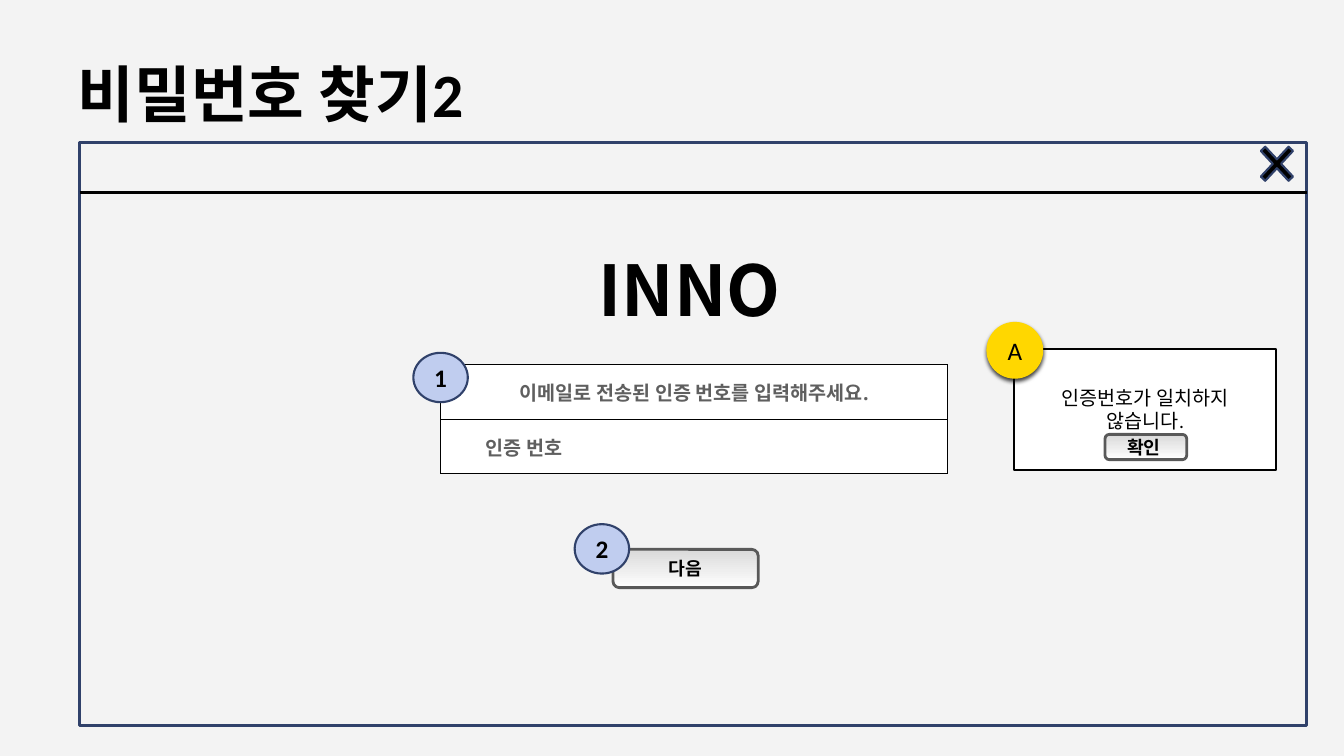
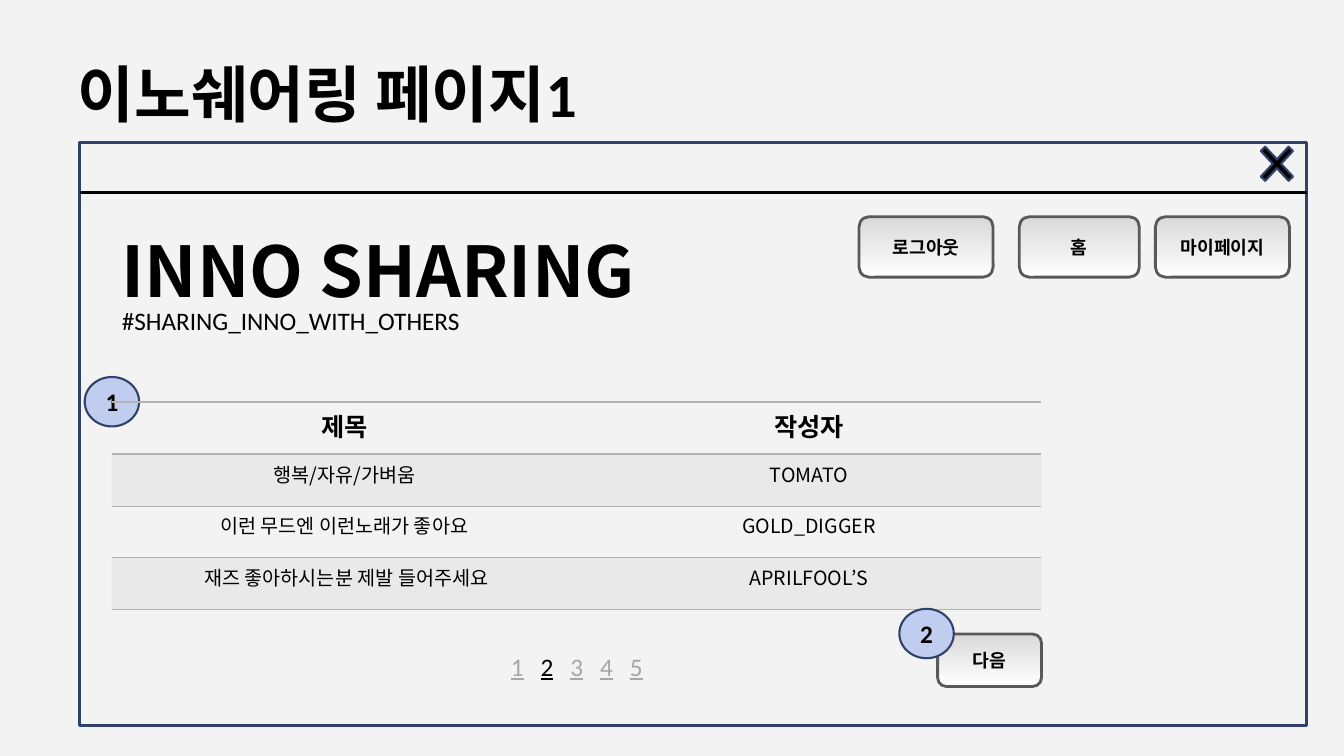
from dataclasses import dataclass

from lxml import etree
from pptx import Presentation
from pptx import util as u
from pptx.dml.color import RGBColor
from pptx.enum import shapes, text
from pptx.oxml import ns


@dataclass(frozen=True)
class Theme:
    background: str = "F3F3F3"
    ink: str = "000000"
    white: str = "FFFFFF"
    navy: str = "30416A"
    badge: str = "C0CDEF"
    alert: str = "FFD700"
    button_top: str = "D9D9D9"
    button_line: str = "595959"
    prompt: str = "5F5F5F"
    faded: str = "A6A6A6"
    rule: str = "B2B2B2"
    band: str = "C5C5C5"
    body_font: str = "Calibri"
    brand_font: str = "Noto Sans CJK KR"
    prompt_font: str = "Open Sans"
    title_size: int = 44
    brand_size: int = 50
    label_size: int = 18
    text_size: int = 14
    button_size: int = 13


THEME = Theme()
SHAPE = shapes.MSO_SHAPE
CENTER = text.PP_ALIGN.CENTER
LEFT = text.PP_ALIGN.LEFT

# Content: positions are left, top, width, height in inches
WINDOW = (0.79, 1.41, 12.17, 5.79)
TITLE_BAR_HEIGHT = 0.5
BADGE_SIZE = (0.54, 0.49)

RESET = {
    "title": "비밀번호 찾기2",
    "brand": ("INNO", (5.84, 2.4, 2.08, 0.93)),
    "prompts": ["이메일로 전송된 인증 번호를 입력해주세요.", "인증 번호"],
    "alert": ["인증번호가 일치하지", "않습니다."],
    "buttons": [("다음", (6.08, 5.45, 1.44, 0.38)),
                ("확인 ", (10.96, 4.31, 0.81, 0.25))],
    "badges": [("1", 4.1, 3.5), ("2", 5.7, 5.2)],
}
SHARING = {
    "title": "이노쉐어링 페이지1",
    "brand": ("INNO SHARING", (1.11, 2.21, 6.64, 0.93)),
    "tagline": ("#SHARING_INNO_WITH_OTHERS", (1.11, 2.98, 6.39, 0.4)),
    "posts": [("제목", "작성자"),
              ("행복/자유/가벼움", "TOMATO"),
              ("이런 무드엔 이런노래가 좋아요", "GOLD_DIGGER"),
              (" 재즈 좋아하시는분 제발 들어주세요", "APRILFOOL’S")],
    "buttons": [("로그아웃", (8.52, 2.15, 1.33, 0.6)),
                ("홈", (10.11, 2.15, 1.19, 0.6)),
                ("마이페이지", (11.46, 2.15, 1.33, 0.6)),
                ("다음", (9.3, 6.29, 1.03, 0.52))],
    "badges": [("1", 0.84, 3.74), ("2", 8.92, 6.04)],
    "pages": [("1", THEME.faded), ("\t2\t", THEME.ink), ("3\t4\t5", THEME.faded)],
}


# Formatting helpers
def rgb(color):
    return RGBColor.from_string(color)


def inches(values):
    return [u.Inches(value) for value in values]


def add_xml(parent, tag, **attributes):
    return etree.SubElement(parent, ns.qn(tag), attributes)


def write(frame, lines, size, color=THEME.ink, font=THEME.body_font,
          bold=False, align=LEFT):
    frame.word_wrap = True
    for index, line in enumerate(lines):
        paragraph = frame.add_paragraph() if index else frame.paragraphs[0]
        paragraph.text = line
        paragraph.alignment = align
        paragraph.font.name = font
        paragraph.font.size = u.Pt(size)
        paragraph.font.bold = bold
        paragraph.font.color.rgb = rgb(color)


def set_line(line, color, width):
    line.color.rgb = rgb(color)
    line.width = u.Pt(width)


def add_shape(slide, kind, box, line, width, fill=None):
    shape = slide.shapes.add_shape(kind, *inches(box))
    shape.shadow.inherit = False
    set_line(shape.line, line, width)
    if fill:
        shape.fill.solid()
        shape.fill.fore_color.rgb = rgb(fill)
    else:
        shape.fill.background()
    shape.text_frame.vertical_anchor = text.MSO_ANCHOR.MIDDLE
    return shape


def add_text(slide, line, box, size, **style):
    frame = slide.shapes.add_textbox(*inches(box)).text_frame
    write(frame, [line], size, **style)
    return frame


def add_badge(slide, label, left, top):
    badge = add_shape(slide, SHAPE.OVAL, (left, top, *BADGE_SIZE),
                      THEME.navy, 1.5, THEME.badge)
    write(badge.text_frame, [label], THEME.label_size, bold=True, align=CENTER)


def add_button(slide, label, box):
    button = add_shape(slide, SHAPE.ROUNDED_RECTANGLE, box, THEME.button_line, 2)
    button.fill.gradient()
    button.fill.gradient_angle = 270
    for stop, color in zip(button.fill.gradient_stops,
                           (THEME.button_top, THEME.white)):
        stop.color.rgb = rgb(color)
    write(button.text_frame, [label], THEME.button_size, bold=True, align=CENTER)


# Tables
def add_table(slide, left, top, columns, rows):
    box = (left, top, sum(columns), sum(rows))
    table = slide.shapes.add_table(len(rows), len(columns), *inches(box)).table
    table.first_row = table.horz_banding = False
    for column, width in zip(table.columns, columns):
        column.width = u.Inches(width)
    for row, height in zip(table.rows, rows):
        row.height = u.Inches(height)
    return table


def format_cell(cell, sides, color, width, fill=None, opacity=100):
    properties = cell._tc.get_or_add_tcPr()
    for side in "LRTB":
        if side in sides:
            border = add_xml(properties, f"a:ln{side}", w=str(u.Pt(width)))
            add_xml(add_xml(border, "a:solidFill"), "a:srgbClr", val=color)
        else:
            border = add_xml(properties, f"a:ln{side}", w="0")
            add_xml(border, "a:noFill")
    if fill is None:
        cell.fill.background()
        return
    cell.fill.solid()
    cell.fill.fore_color.rgb = rgb(fill)
    if opacity < 100:
        tint = properties.find(ns.qn("a:solidFill")).find(ns.qn("a:srgbClr"))
        add_xml(tint, "a:alpha", val=str(opacity * 1000))


def add_prompt_table(slide, prompts):
    table = add_table(slide, 4.37, 3.62, (1.66, 3.37), (0.54, 0.54))
    for row, sides in enumerate((("LRTB", "LRTB"), ("LTB", "RTB"))):
        for column in range(2):
            format_cell(table.cell(row, column), sides[column], THEME.ink, 1,
                        THEME.white)
    table.cell(0, 0).merge(table.cell(0, 1))
    for row, prompt in enumerate(prompts):
        cell = table.cell(row, 0)
        cell.vertical_anchor = text.MSO_ANCHOR.MIDDLE
        write(cell.text_frame, [prompt], THEME.text_size, THEME.prompt,
              THEME.prompt_font, bold=True, align=CENTER)


def add_post_table(slide, posts):
    table = add_table(slide, 1.11, 3.99, (4.61, 4.61), [0.515] * len(posts))
    for row, post in enumerate(posts):
        header = row == 0
        for column, label in enumerate(post):
            cell = table.cell(row, column)
            format_cell(cell, "TB", THEME.rule, 1.79 if header else 0.79,
                        THEME.band if row % 2 else None, 20)
            write(cell.text_frame, [label],
                  THEME.label_size if header else THEME.text_size,
                  font=THEME.body_font if header else THEME.brand_font,
                  bold=header, align=CENTER)


# Parts of single slides
def add_alert(slide, lines):
    box = add_shape(slide, SHAPE.RECTANGLE, (10.06, 3.46, 2.6, 1.2),
                    THEME.ink, 1.5, THEME.white)
    write(box.text_frame, lines, THEME.text_size, align=CENTER)
    marker = add_shape(slide, SHAPE.OVAL, (9.79, 3.2, 0.55, 0.55),
                       THEME.alert, 1, THEME.alert)
    write(marker.text_frame, ["A"], THEME.label_size, align=CENTER)
    effects = marker._element.spPr.find(ns.qn("a:effectLst"))
    shadow = add_xml(effects, "a:outerShdw", blurRad=str(u.Pt(3)),
                     dist=str(u.Pt(2)), dir="5400000", rotWithShape="0")
    color = add_xml(shadow, "a:srgbClr", val=THEME.ink)
    add_xml(color, "a:alpha", val="75000")


def add_pager(slide, pages):
    frame = slide.shapes.add_textbox(*inches((4.97, 6.41, 3.83, 0.4))).text_frame
    frame.word_wrap = True
    paragraph = frame.paragraphs[0]
    tabs = add_xml(paragraph._p.get_or_add_pPr(), "a:tabLst")
    for stop in range(1, 5):
        add_xml(tabs, "a:tab", pos=str(u.Inches(0.295 * stop)), algn="l")
    paragraph.font.name = THEME.body_font
    paragraph.font.size = u.Pt(THEME.label_size)
    paragraph.font.underline = True
    for label, color in pages:
        run = paragraph.add_run()
        run.text = label
        run.font.color.rgb = rgb(color)


# Shared slide: title, browser window, brand
def add_window_slide(presentation, content):
    slide = presentation.slides.add_slide(presentation.slide_layouts[5])
    title = slide.shapes.title
    title.left, title.top, title.width, title.height = inches((0.67, 0.3, 12, 1.25))
    title.text_frame.vertical_anchor = text.MSO_ANCHOR.MIDDLE
    write(title.text_frame, [content["title"]], THEME.title_size, bold=True)

    left, top, width, _ = WINDOW
    add_shape(slide, SHAPE.RECTANGLE, WINDOW, THEME.navy, 2)
    bar_bottom = top + TITLE_BAR_HEIGHT
    bar = slide.shapes.add_connector(
        shapes.MSO_CONNECTOR.STRAIGHT,
        *inches((left, bar_bottom, left + width, bar_bottom)))
    set_line(bar.line, THEME.ink, 2)
    add_xml(bar._element.spPr, "a:effectLst")
    close = add_shape(slide, SHAPE.MATH_MULTIPLY, (12.4, 1.34, 0.53, 0.57),
                      THEME.navy, 1.5, THEME.ink)
    close.adjustments[0] = 0.114

    brand, box = content["brand"]
    add_text(slide, brand, box, THEME.brand_size, font=THEME.brand_font, bold=True)
    return slide


def add_controls(slide, content):
    for label, box in content["buttons"]:
        add_button(slide, label, box)


def main():
    presentation = Presentation()
    presentation.slide_width = u.Inches(13.33)
    presentation.slide_height = u.Inches(7.5)
    background = presentation.slide_master.background.fill
    background.solid()
    background.fore_color.rgb = rgb(THEME.background)

    # Password reset
    slide = add_window_slide(presentation, RESET)
    add_prompt_table(slide, RESET["prompts"])
    add_alert(slide, RESET["alert"])
    add_controls(slide, RESET)
    for badge in RESET["badges"]:
        add_badge(slide, *badge)

    # Sharing page: the table's top rule crosses the first badge
    slide = add_window_slide(presentation, SHARING)
    tagline, box = SHARING["tagline"]
    add_text(slide, tagline, box, THEME.label_size)
    add_controls(slide, SHARING)
    table_badge, next_badge = SHARING["badges"]
    add_badge(slide, *table_badge)
    add_post_table(slide, SHARING["posts"])
    add_pager(slide, SHARING["pages"])
    add_badge(slide, *next_badge)

    presentation.save("out.pptx")


if __name__ == "__main__":
    main()
